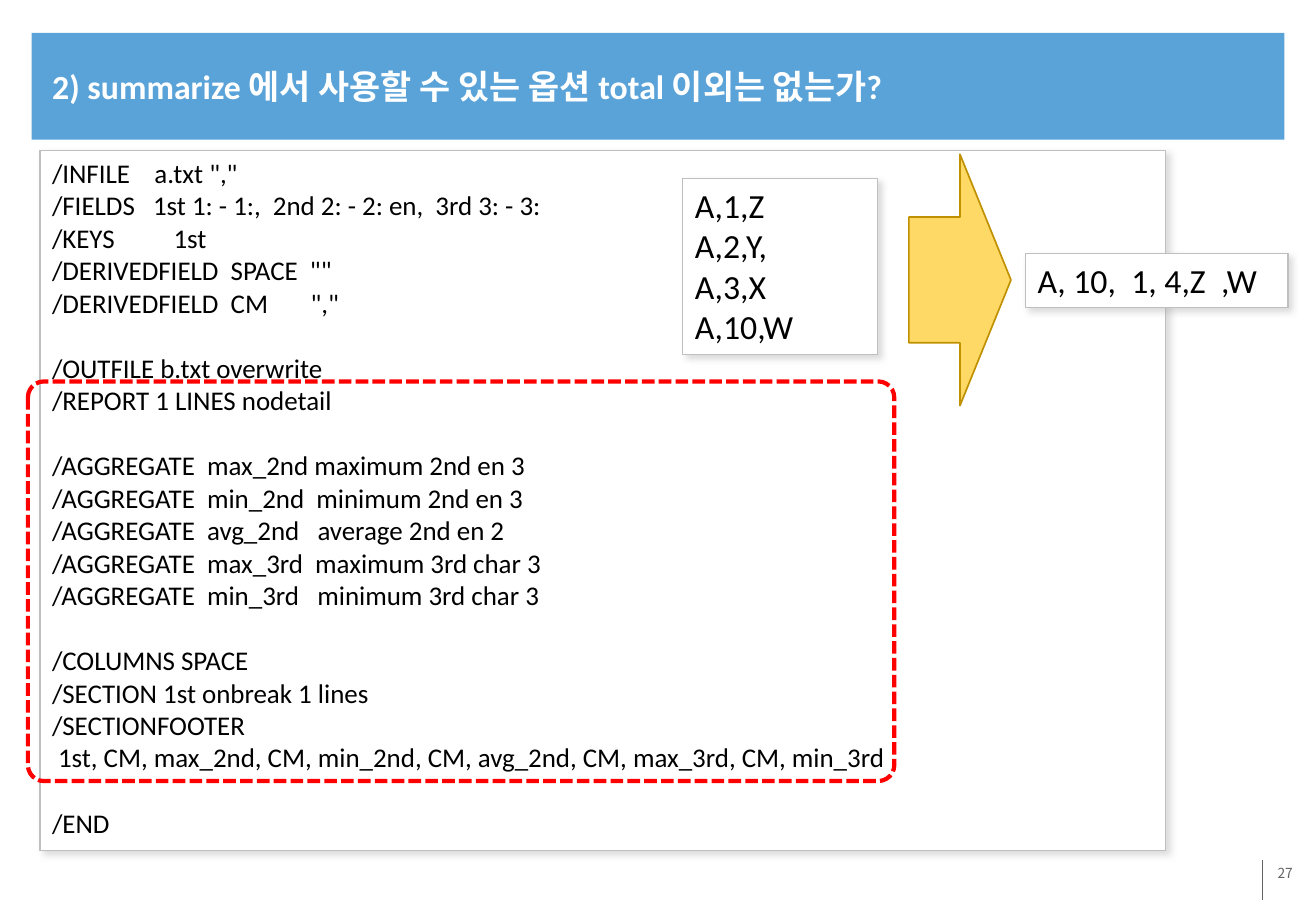
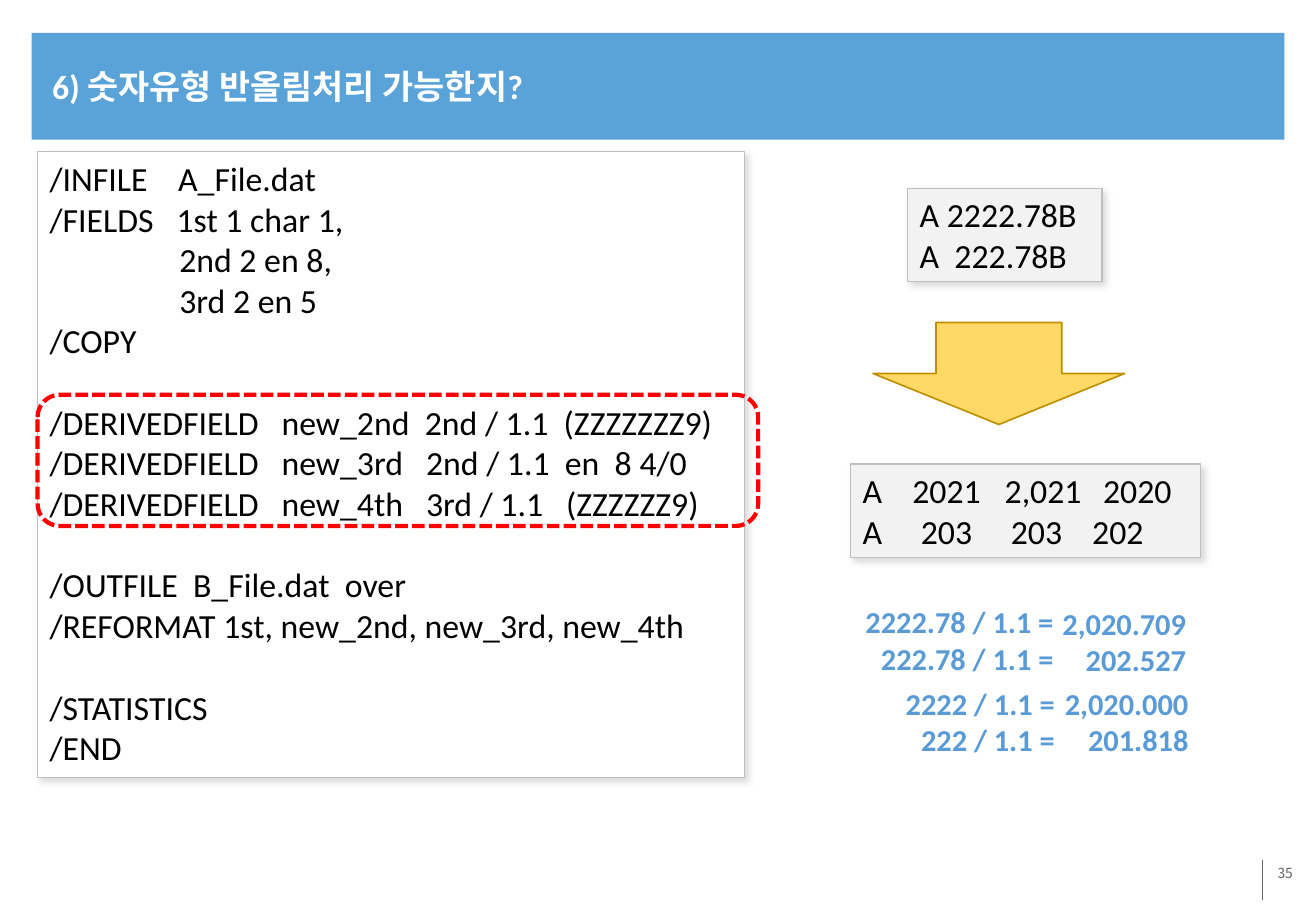
"""Build two question slides: a script listing, its highlighted part, and sample input and output."""
from lxml.etree import SubElement
from pptx import Presentation
from pptx.dml.color import RGBColor
from pptx.enum.dml import MSO_LINE
from pptx.enum.shapes import MSO_CONNECTOR, MSO_SHAPE
from pptx.enum.text import MSO_ANCHOR, MSO_AUTO_SIZE, PP_ALIGN
from pptx.oxml.ns import qn
from pptx.util import Emu, Pt

PX = 9144
LINE_HEIGHT = 1.22
LATIN_FONT = "Calibri"
KOREAN_FONT = "Noto Sans CJK KR"
COLORS = {
    "band": "5AA3D9", "footer": "636467", "white": "FFFFFF", "black": "000000",
    "sample": "F2F2F2", "border": "BFBFBF", "shadow": "A6A6A6", "highlight": "FF0000",
    "arrow": "FFD966", "arrow_border": "BF9000", "formula": "5B9BD5",
}
BAND = (26, 27, 1031, 88)
TITLE = (33, 31, 1020, 79)
NUMBER = (888, 708, 183, 50)
NUMBER_RULE = (1039, 708, 1039, 741)
ARROW_SIZE = (84, 207)

SLIDES = [
    {
        "title": "2) summarize 에서 사용할 수 있는 옵션 total 이외는 없는가?",
        "number": "27",
        "code_at": (33, 124, 926, 576),
        "code_size": 16,
        "code": [
            ['/INFILE    a.txt ","',
             "/FIELDS   1st 1: - 1:,  2nd 2: - 2: en,  3rd 3: - 3:",
             "/KEYS\t1st",
             '/DERIVEDFIELD  SPACE  ""',
             '/DERIVEDFIELD  CM       ","'],
            ["/OUTFILE b.txt overwrite",
             "/REPORT 1 LINES nodetail"],
            ["/AGGREGATE  max_2nd maximum 2nd en 3",
             "/AGGREGATE  min_2nd  minimum 2nd en 3",
             "/AGGREGATE  avg_2nd   average 2nd en 2",
             "/AGGREGATE  max_3rd  maximum 3rd char 3",
             "/AGGREGATE  min_3rd   minimum 3rd char 3"],
            ["/COLUMNS SPACE",
             "/SECTION 1st onbreak 1 lines",
             "/SECTIONFOOTER",
             " 1st, CM, max_2nd, CM, min_2nd, CM, avg_2nd, CM, max_3rd, CM, min_3rd"],
            ["/END"],
        ],
        "highlight": ((23, 314, 713, 329), 0.04),
        "sample_fill": "white",
        "samples": [
            ((562, 147, 160, 145), ["A,1,Z", "A,2,Y,", "A,3,X", "A,10,W"], ()),
            ((844, 209, 216, 44), ["A, 10,  1, 4,Z  ,W"], ()),
        ],
        "arrow": ((748, 127), 0),
        "formulas": [],
    },
    {
        "title": "6) 숫자유형 반올림처리 가능한지?",
        "number": "35",
        "code_at": (31, 125, 582, 515),
        "code_size": 20,
        "code": [
            ["/INFILE    A_File.dat",
             "/FIELDS   1st 1 char 1,",
             "                 2nd 2 en 8,",
             "                 3rd 2 en 5",
             "/COPY"],
            ["/DERIVEDFIELD   new_2nd  2nd / 1.1  (ZZZZZZZ9)",
             "/DERIVEDFIELD   new_3rd   2nd / 1.1  en  8 4/0",
             "/DERIVEDFIELD   new_4th   3rd / 1.1   (ZZZZZZ9)"],
            ["/OUTFILE  B_File.dat  over",
             "/REFORMAT 1st, new_2nd, new_3rd, new_4th"],
            ["/STATISTICS", "/END"],
        ],
        "highlight": ((31, 325, 593, 108), 0.17),
        "sample_fill": "sample",
        "samples": [
            ((747, 155, 160, 77), ["A 2222.78B", "A  222.78B"], ()),
            ((700, 382, 288, 77),
             ["A\t2021\t2,021\t2020", "A\t203\t203\t202"],
             ((41, 117, 198), (48, 122, 189))),
        ],
        "arrow": ((780, 204), 90),
        "formulas": [
            [((700, 492, 177, 71), ["2222.78 / 1.1 =", "222.78 / 1.1 ="]),
             ((864, 493, 122, 71), ["2,020.709", "202.527"])],
            [((734, 559, 144, 71), ["2222 / 1.1 =", "222 / 1.1 ="]),
             ((865, 559, 123, 71), ["2,020.000", "201.818"])],
        ],
    },
]


def color(name):
    return RGBColor.from_string(COLORS[name])


def emu(lengths):
    return [Emu(length * PX) for length in lengths]


def add_tabs(paragraph, stops):
    tab_list = SubElement(paragraph._p.get_or_add_pPr(), qn("a:tabLst"))
    for stop in stops:
        SubElement(tab_list, qn("a:tab"), pos=str(stop * PX), algn="l")


def write(shape, blocks, size=20, ink="black", bold=False, align=PP_ALIGN.LEFT,
          anchor=MSO_ANCHOR.TOP, font=LATIN_FONT, wrap=True, tabs=()):
    frame = shape.text_frame
    frame.word_wrap = wrap
    frame.auto_size = MSO_AUTO_SIZE.NONE
    frame.vertical_anchor = anchor
    lines = [(line, block_index > 0 and line_index == 0)
             for block_index, block in enumerate(blocks)
             for line_index, line in enumerate(block)]
    for index, (line, opens_block) in enumerate(lines):
        paragraph = frame.add_paragraph() if index else frame.paragraphs[0]
        paragraph.alignment = align
        paragraph.space_before = Pt(round(size * LINE_HEIGHT, 1) if opens_block else 0)
        if tabs:
            add_tabs(paragraph, tabs[index])
        run = paragraph.add_run()
        run.text = line
        run.font.size = Pt(size)
        run.font.bold = bold
        run.font.color.rgb = color(ink)
        run.font.name = font
        SubElement(run._r.get_or_add_rPr(), qn("a:ea"), typeface=KOREAN_FONT)


def add_panel(slide, box, kind=MSO_SHAPE.RECTANGLE, fill=None, border=None, width=0.75):
    shape = slide.shapes.add_shape(kind, *emu(box))
    shape.shadow.inherit = False
    if fill:
        shape.fill.solid()
        shape.fill.fore_color.rgb = color(fill)
    else:
        shape.fill.background()
    if border:
        shape.line.color.rgb = color(border)
        shape.line.width = Pt(width)
    else:
        shape.line.fill.background()
    return shape


def add_card(slide, box, fill, blocks, **text_format):
    card = add_panel(slide, box, fill=fill, border="border")
    effects = card._element.spPr.find(qn("a:effectLst"))
    shadow = SubElement(effects, qn("a:outerShdw"), blurRad=str(Pt(4)), dist=str(Pt(3)),
                        dir=str(45 * 60000), algn="tl", rotWithShape="0")
    tint = SubElement(shadow, qn("a:srgbClr"), val=COLORS["shadow"])
    SubElement(tint, qn("a:alpha"), val="40000")
    write(card, blocks, **text_format)


def furnish_layout(layout, slide):
    band = add_panel(slide, BAND, fill="band")
    rule = slide.shapes.add_connector(MSO_CONNECTOR.STRAIGHT, *emu(NUMBER_RULE))
    rule.line.color.rgb = color("footer")
    rule.line.width = Pt(0.75)
    SubElement(rule._element.spPr, qn("a:effectLst"))
    for position, shape in enumerate((band, rule)):
        shape._element.xpath(".//p:cNvPr")[0].set("id", str(20 + position))
        layout.shapes._spTree.insert(2 + position, shape._element)


def add_title_and_number(slide, title, number):
    heading = slide.shapes.title
    heading.left, heading.top, heading.width, heading.height = emu(TITLE)
    write(heading, [[title]], ink="white", bold=True, anchor=MSO_ANCHOR.MIDDLE)
    number_box = slide.shapes.add_textbox(*emu(NUMBER))
    frame = number_box.text_frame
    frame.margin_left = frame.margin_right = Emu(7 * PX)
    frame.margin_top = frame.margin_bottom = Emu(4 * PX)
    write(number_box, [[number]], size=8.2, ink="footer", align=PP_ALIGN.RIGHT, font=KOREAN_FONT)


def add_content(slide, content):
    add_card(slide, content["code_at"], "white", content["code"], size=content["code_size"])
    box, corner = content["highlight"]
    highlight = add_panel(slide, box, MSO_SHAPE.ROUNDED_RECTANGLE, border="highlight", width=2.5)
    highlight.adjustments[0] = corner
    highlight.line.dash_style = MSO_LINE.SQUARE_DOT
    for box, lines, tabs in content["samples"]:
        add_card(slide, box, content["sample_fill"], [lines], tabs=tabs)
    corner_at, rotation = content["arrow"]
    arrow = add_panel(slide, corner_at + ARROW_SIZE, MSO_SHAPE.RIGHT_ARROW,
                      fill="arrow", border="arrow_border", width=1)
    arrow.rotation = rotation
    for formula in content["formulas"]:
        group = slide.shapes.add_group_shape()
        for box, lines in formula:
            write(group.shapes.add_textbox(*emu(box)), [lines], size=18, ink="formula",
                  bold=True, align=PP_ALIGN.RIGHT, wrap=False)


def main():
    presentation = Presentation()
    presentation.slide_width, presentation.slide_height = emu((1083, 750))
    layout = presentation.slide_layouts[5]
    for index, content in enumerate(SLIDES):
        slide = presentation.slides.add_slide(layout)
        if index == 0:
            furnish_layout(layout, slide)
        add_title_and_number(slide, content["title"], content["number"])
        add_content(slide, content)
    presentation.save("out.pptx")


if __name__ == "__main__":
    main()
